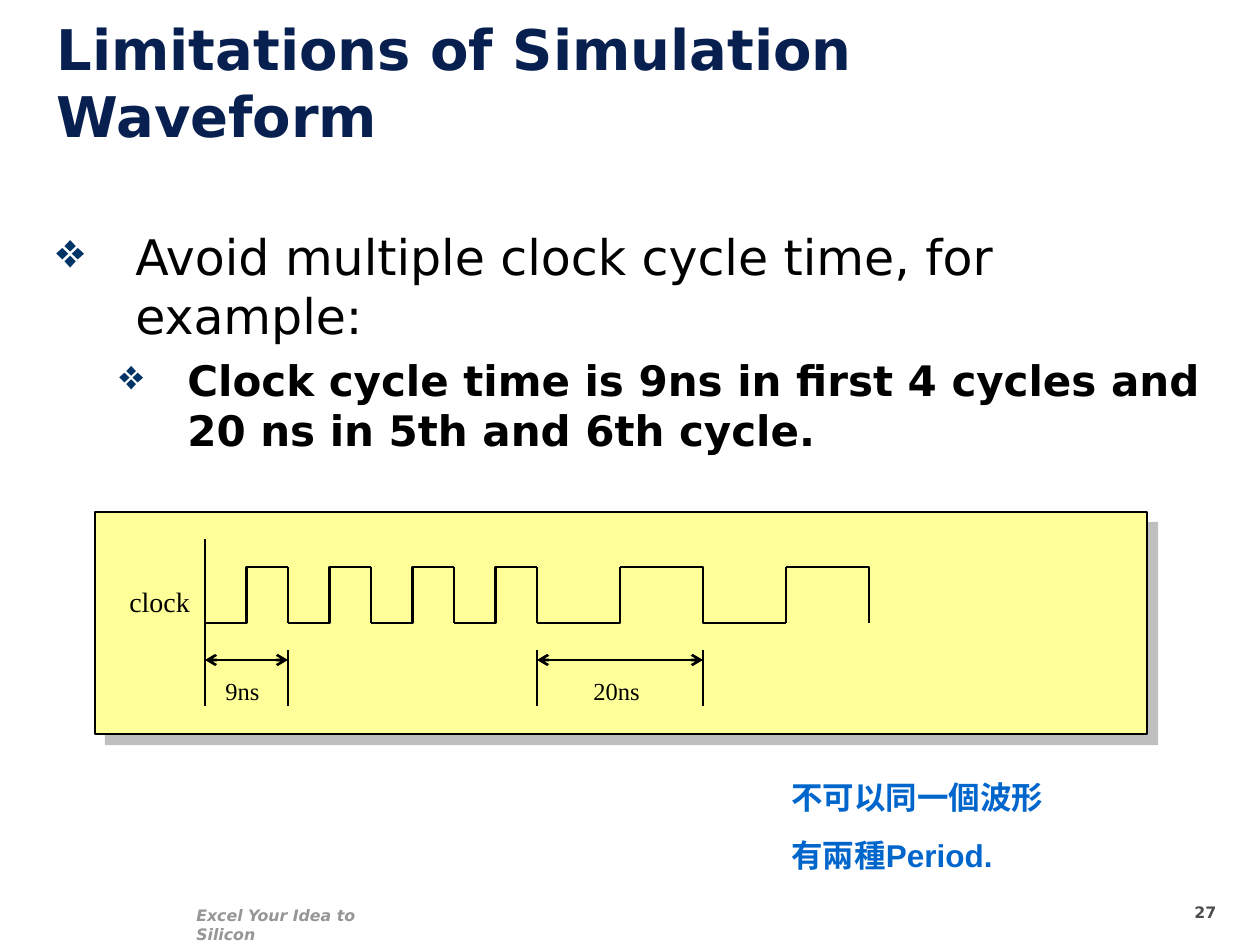
"""Build the slide on the limitations of a simulation waveform."""
from dataclasses import dataclass, field
from typing import Optional

from lxml.etree import SubElement
from pptx import Presentation
from pptx.dml.color import RGBColor
from pptx.enum.shapes import MSO_CONNECTOR, MSO_SHAPE
from pptx.enum.text import MSO_ANCHOR
from pptx.oxml.ns import qn
from pptx.util import Emu, Inches, Pt

PX = Inches(1) / 126
NAVY = RGBColor(0x08, 0x20, 0x4F)
BULLET_BLUE = RGBColor(0x00, 0x33, 0x66)
NOTE_BLUE = RGBColor(0x00, 0x66, 0xCC)
PANEL_YELLOW = RGBColor(0xFF, 0xFF, 0x99)
SHADOW_GRAY = RGBColor(0x80, 0x80, 0x80)
FOOTER_GRAY = RGBColor(0x96, 0x96, 0x96)
NUMBER_GRAY = RGBColor(0x4D, 0x4D, 0x4D)
BLACK = RGBColor(0, 0, 0)
SANS, SERIF, NOTE_FONT = "DejaVu Sans", "Times New Roman", "Arial"

START, SHORT_CYCLE, LONG_HALF = 205, 83, 83
HIGH, LOW = 567, 623
SHORT_COUNT = 4
LONG_START = START + SHORT_COUNT * SHORT_CYCLE
AXIS_TOP, TICK_TOP, TICK_BOTTOM, ARROW_Y = 539, 650, 706, 660


@dataclass
class Paragraph:
    text: str
    size: float
    color: RGBColor = BLACK
    font: str = SANS
    style: dict = field(default_factory=dict)
    space_before: float = 0
    level: int = 0
    margin: int = 0
    hanging: int = 0


@dataclass
class TextBox:
    left: int
    top: int
    width: int
    height: int
    paragraphs: list[Paragraph]
    anchor: MSO_ANCHOR = MSO_ANCHOR.TOP


@dataclass
class Line:
    x1: int
    y1: int
    x2: int
    y2: int
    bend: Optional[int] = None
    arrows: bool = False


BOLD = {"bold": True}
TEXT_BOXES = [
    TextBox(184, 900, 212, 32, [Paragraph(
        "Excel Your Idea to Silicon", 9, FOOTER_GRAY, style={"bold": True, "italic": True})]),
    TextBox(1182, 897, 73, 34, [Paragraph("27", 9, NUMBER_GRAY, style=BOLD)]),
    TextBox(44, 35, 903, 120, [Paragraph(
        "Limitations of Simulation Waveform", 32, NAVY, style=BOLD)], MSO_ANCHOR.BOTTOM),
    TextBox(44, 220, 1171, 624, [
        Paragraph("Avoid multiple clock cycle time, for example:", 28, margin=79, hanging=79),
        Paragraph("Clock cycle time is 9ns in first 4 cycles and 20 ns in 5th and 6th cycle.",
                  24, style=BOLD, space_before=6, level=1, margin=131, hanging=68),
    ]),
    TextBox(117, 578, 166, 83, [Paragraph("clock", 16, font=SERIF)]),
    TextBox(213, 670, 79, 49, [Paragraph("9ns", 14, font=SERIF)]),
    TextBox(581, 670, 79, 49, [Paragraph("20ns", 14, font=SERIF)]),
    TextBox(779, 772, 348, 108, [
        Paragraph("不可以同一個波形", 18, NOTE_BLUE, NOTE_FONT, BOLD),
        Paragraph("有兩種Period.", 18, NOTE_BLUE, NOTE_FONT, BOLD, space_before=11.2),
    ]),
]


def emu(px: int) -> Emu:
    """Turn pixels into EMU."""
    return Emu(round(px * PX))


def add_bullet(para, item: Paragraph) -> None:
    """Give a paragraph a hanging diamond bullet."""
    properties = para._p.get_or_add_pPr()
    properties.set("marL", str(emu(item.margin)))
    properties.set("indent", str(-emu(item.hanging)))
    color = SubElement(properties, qn("a:buClr"))
    SubElement(color, qn("a:srgbClr"), val=str(BULLET_BLUE))
    SubElement(properties, qn("a:buChar"), char="❖")


def add_text(page, item: TextBox) -> None:
    """Add a wrapped text box with its paragraphs."""
    box = page.shapes.add_textbox(*map(emu, (item.left, item.top, item.width, item.height)))
    frame = box.text_frame
    frame.word_wrap = True
    frame.vertical_anchor = item.anchor
    for index, entry in enumerate(item.paragraphs):
        para = frame.add_paragraph() if index else frame.paragraphs[0]
        para.level = entry.level
        if entry.hanging:
            add_bullet(para, entry)
        para.space_before = Pt(entry.space_before)
        span = para.add_run()
        span.text = entry.text
        formats = {"name": entry.font, "size": Pt(entry.size), **entry.style}
        for name, value in formats.items():
            setattr(span.font, name, value)
        span.font.color.rgb = entry.color


def add_panel(page) -> None:
    """Add the yellow panel with its offset shadow."""
    panel = page.shapes.add_shape(MSO_SHAPE.RECTANGLE, *map(emu, (95, 512, 1052, 222)))
    panel.fill.solid()
    panel.fill.fore_color.rgb = PANEL_YELLOW
    panel.line.color.rgb = BLACK
    panel.line.width = Pt(0.75)
    panel.shadow.inherit = False
    effects = panel._element.spPr.find(qn("a:effectLst"))
    shadow = SubElement(effects, qn("a:outerShdw"), blurRad="0", dist=str(Pt(8.5)),
                        dir="2700000", algn="ctr", rotWithShape="0")
    color = SubElement(shadow, qn("a:srgbClr"), val=str(SHADOW_GRAY))
    SubElement(color, qn("a:alpha"), val="50000")


def add_line(page, item: Line) -> None:
    """Add a straight line, or an elbow bent at a percentage of its width."""
    kind = MSO_CONNECTOR.STRAIGHT if item.bend is None else MSO_CONNECTOR.ELBOW
    line = page.shapes.add_connector(kind, *map(emu, (item.x1, item.y1, item.x2, item.y2)))
    line.line.color.rgb = BLACK
    line.line.width = Pt(1.5)
    properties = line._element.spPr
    if item.bend is not None:
        guides = properties.find(qn("a:prstGeom")).find(qn("a:avLst"))
        SubElement(guides, qn("a:gd"), name="adj1", fmla=f"val {item.bend * 1000}")
    if item.arrows:
        for end in ("a:headEnd", "a:tailEnd"):
            SubElement(line.line._get_or_add_ln(), qn(end), type="arrow")
    SubElement(properties, qn("a:effectLst"))


def clock_lines() -> list[Line]:
    """List the lines of the clock signal and its period marks."""
    lines = [Line(START, AXIS_TOP, START, TICK_BOTTOM)]
    for x in range(START, LONG_START, SHORT_CYCLE):
        end = x + SHORT_CYCLE
        lines += [Line(x, LOW, end, HIGH, bend=50), Line(end, HIGH, end, LOW)]
    rise, fall, second_rise, second_fall = (LONG_START + LONG_HALF * n for n in range(1, 5))
    lines += [
        Line(LONG_START, LOW, rise, HIGH, bend=100),
        Line(rise, HIGH, second_rise, LOW, bend=50),
        Line(second_rise, LOW, second_rise, HIGH),
        Line(second_rise, HIGH, second_fall, LOW, bend=100),
    ]
    short_end = START + SHORT_CYCLE
    lines += [Line(x, TICK_TOP, x, TICK_BOTTOM) for x in (short_end, LONG_START, fall)]
    lines += [Line(left, ARROW_Y, right, ARROW_Y, arrows=True)
              for left, right in ((START, short_end), (LONG_START, fall))]
    return lines


def main() -> None:
    """Build and save the deck."""
    deck = Presentation()
    deck.slide_width, deck.slide_height = Inches(10), Inches(7.5)
    page = deck.slides.add_slide(deck.slide_layouts[6])
    add_panel(page)
    for line in clock_lines():
        add_line(page, line)
    for box in TEXT_BOXES:
        add_text(page, box)
    deck.save("out.pptx")


if __name__ == "__main__":
    main()
